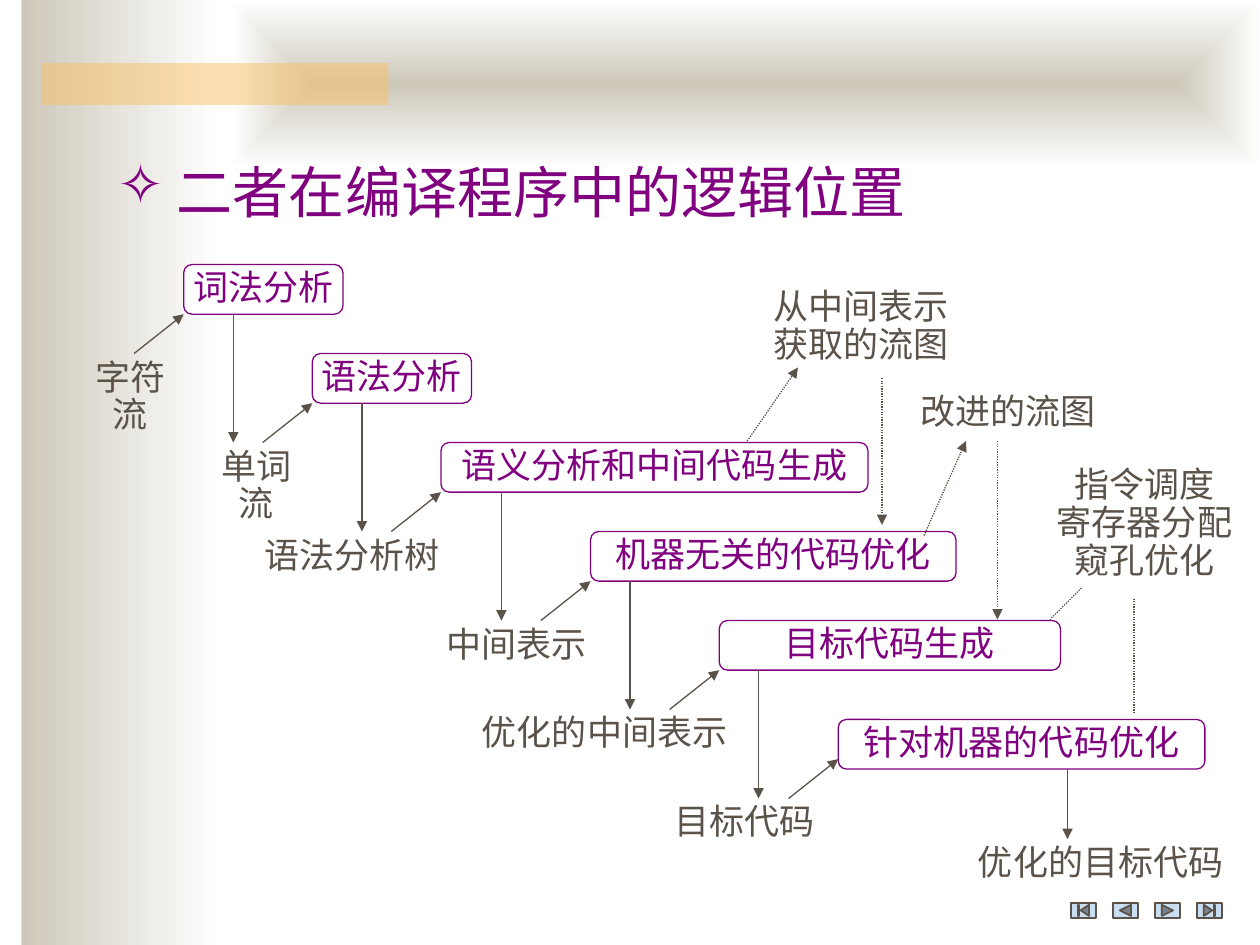
"""Build a slide showing where optimisation sits among the phases of a compiler."""
from lxml.etree import SubElement
from pptx import Presentation
from pptx.dml.color import RGBColor
from pptx.enum.dml import MSO_LINE
from pptx.enum.shapes import MSO_CONNECTOR, MSO_SHAPE as Shape
from pptx.enum.text import MSO_ANCHOR as Anchor, MSO_AUTO_SIZE as AutoSize, PP_ALIGN as Align
from pptx.oxml import parse_xml
from pptx.oxml.ns import nsdecls, qn
from pptx.util import Pt

COLORS = {"purple": "800080", "brown": "5B5249", "sand": "CEC8BA", "white": "FFFFFF",
          "amber": "FAC164", "button": "C9DDF1"}
LATIN, ASIAN = "Times New Roman", "Noto Sans CJK SC"

TITLE = " 二者在编译程序中的逻辑位置"
BANDS = [
    ((12.25, 0, 113.75, 540), '<a:lin ang="0" scaled="0"/>'),
    ((132, 0, 588, 96), '<a:path path="rect"><a:fillToRect l="50000" t="50000" r="50000" b="50000"/></a:path>'),
]
ACCENT = (24, 36, 198, 24)
# text, left, width, offset of the downward arrow, extra drop below the regular row
PHASES = [
    ("词法分析", 105, 91, 28.35, 0),
    ("语法分析", 178.5, 91, 28.35, 0),
    ("语义分析和中间代码生成", 252, 244, 34.5, 0),
    ("机器无关的代码优化", 337.5, 208.8, 22.5, 0),
    ("目标代码生成", 411, 195, 22.5, 0),
    ("针对机器的代码优化", 479, 209.5, 131, 5.7),
]
PRODUCTS = [
    ("字符流", 37.5, 74), ("单词流", 109.5, 74), ("语法分析树", 139, 124.5),
    ("中间表示", 247, 96.5), ("优化的中间表示", 263.5, 164),
    ("目标代码", 377, 96.5), ("优化的目标代码", 547, 164),
]
NOTES = [
    (["从中间表示获取的流图"], (432, 162, 120, 50)),
    (["改进的流图"], (516, 222, 120, 29)),
    (["指令调度", "寄存器分配", "窥孔优化"], (594, 263.5, 120, 72)),
]
NOTE_LINES = [
    ((427, 252), (456, 210), True), ((504, 216), (504, 300), True),
    ((528, 306), (552, 252), True), ((570, 252), (570, 354), True),
    ((648, 342), (648, 408), False), ((618, 336), (600, 354), False),
]
BUTTONS = [Shape.ACTION_BUTTON_BEGINNING, Shape.ACTION_BUTTON_BACK_OR_PREVIOUS,
           Shape.ACTION_BUTTON_FORWARD_OR_NEXT, Shape.ACTION_BUTTON_END]
FIRST_ROW, ROW_STEP, BOX_HEIGHT, LABEL_HEIGHT, LAST_LABEL, RISE_WIDTH = 151.2, 50.85, 28.35, 29, 479.5, 28.4
BUTTON_LEFT, BUTTON_TOP, BUTTON_STEP = 612, 516, 24

deck = Presentation()
deck.slide_width, deck.slide_height = Pt(720), Pt(540)
page = deck.slides.add_slide(deck.slide_layouts[6])


def color(name):
    return RGBColor.from_string(COLORS[name])


def add_shape(kind, frame, fill, line=None, width=0.75):
    shape = page.shapes.add_shape(kind, *map(Pt, frame))
    shape.shadow.inherit = False
    shape.fill.solid()
    shape.fill.fore_color.rgb = color(fill)
    if line:
        shape.line.color.rgb = color(line)
        shape.line.width = Pt(width)
    else:
        shape.line.fill.background()
    return shape


def write(box, lines, ink, size=20, align=Align.CENTER, spacing=0.9, **frame_format):
    frame = box.text_frame
    for name, value in frame_format.items():
        setattr(frame, name, value)
    for index, text in enumerate(lines):
        para = frame.add_paragraph() if index else frame.paragraphs[0]
        para.alignment, para.line_spacing = align, spacing
        span = para.add_run()
        span.text = text
        for name, value in {"name": LATIN, "size": Pt(size)}.items():
            setattr(span.font, name, value)
        span.font.color.rgb = color(ink)
        SubElement(span.font._element, qn("a:ea"), typeface=ASIAN)
    return frame


def add_label(lines, frame, ink="brown", **text_format):
    box = page.shapes.add_textbox(*map(Pt, frame))
    return write(box, lines, ink, word_wrap=True, auto_size=AutoSize.SHAPE_TO_FIT_TEXT, **text_format)


def add_line(start, end, arrow=True, dotted=False):
    line = page.shapes.add_connector(MSO_CONNECTOR.STRAIGHT, *map(Pt, (*start, *end)))
    line.line.color.rgb = color("brown")
    line.line.width = Pt(0.75)
    if dotted:
        line.line.dash_style = MSO_LINE.ROUND_DOT
    if arrow:
        SubElement(line.line._get_or_add_ln(), qn("a:tailEnd"), type="triangle")
    SubElement(line._element.spPr, qn("a:effectLst"))


def row_top(row):
    return FIRST_ROW + row * ROW_STEP


def label_top(index):
    return LAST_LABEL if index == len(PRODUCTS) - 1 else row_top(index + 1)


for frame, direction in BANDS:
    band = add_shape(Shape.RECTANGLE, frame, "sand")
    solid = band._element.spPr.find(qn("a:solidFill"))
    solid.getparent().replace(solid, parse_xml(
        f'<a:gradFill {nsdecls("a")} rotWithShape="1"><a:gsLst>'
        f'<a:gs pos="0"><a:srgbClr val="{COLORS["sand"]}"/></a:gs>'
        f'<a:gs pos="100000"><a:srgbClr val="{COLORS["white"]}"/></a:gs>'
        f'</a:gsLst>{direction}</a:gradFill>'))
accent = add_shape(Shape.RECTANGLE, ACCENT, "amber")
SubElement(accent._element.spPr.find(qn("a:solidFill"))[0], qn("a:alpha"), val="50000")

heading = add_label([TITLE], (60, 86.4, 546.5, 46), "purple", size=32, align=Align.LEFT, spacing=1.0)
bullet_format = heading.paragraphs[0]._p.get_or_add_pPr()
SubElement(SubElement(bullet_format, qn("a:buClr")), qn("a:srgbClr"), val=COLORS["purple"])
SubElement(bullet_format, qn("a:buChar"), char="✧")

for index, kind in enumerate(BUTTONS):
    add_shape(kind, (BUTTON_LEFT + index * BUTTON_STEP, BUTTON_TOP, 14.2, 8.5), "button", "brown", 1)

for row, (text, left, width, drop_offset, extra) in enumerate(PHASES):
    top = row_top(row) + extra
    box = add_shape(Shape.ROUNDED_RECTANGLE, (left, top, width, BOX_HEIGHT), "white", "purple")
    write(box, [text], "purple", word_wrap=False, vertical_anchor=Anchor.MIDDLE)
    add_line((left - RISE_WIDTH, row_top(row + 1)), (left, row_top(row) + BOX_HEIGHT))
    add_line((left + drop_offset, top + BOX_HEIGHT), (left + drop_offset, label_top(row + 1)))

for index, (text, left, width) in enumerate(PRODUCTS):
    add_label([text], (left, label_top(index), width, LABEL_HEIGHT))
for lines, frame in NOTES:
    add_label(lines, frame)
for start, end, arrow in NOTE_LINES:
    add_line(start, end, arrow, dotted=True)

deck.save("out.pptx")
